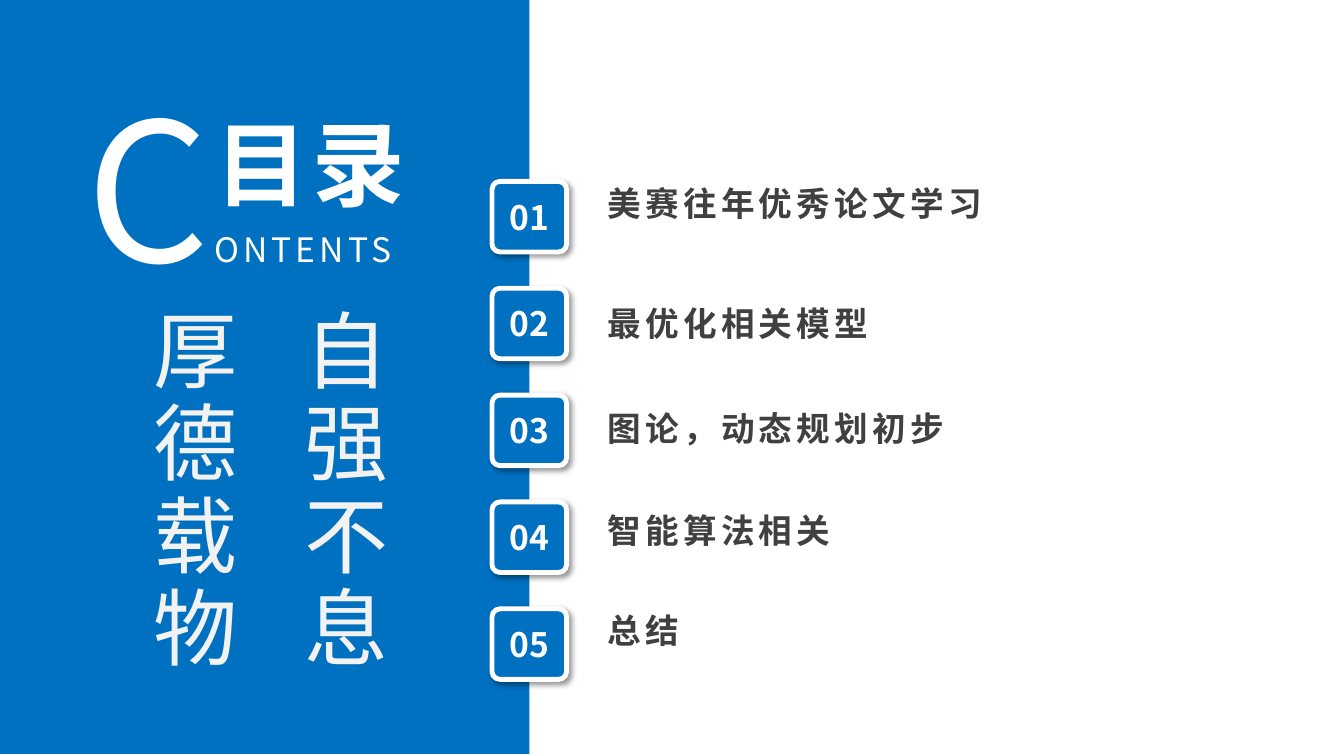
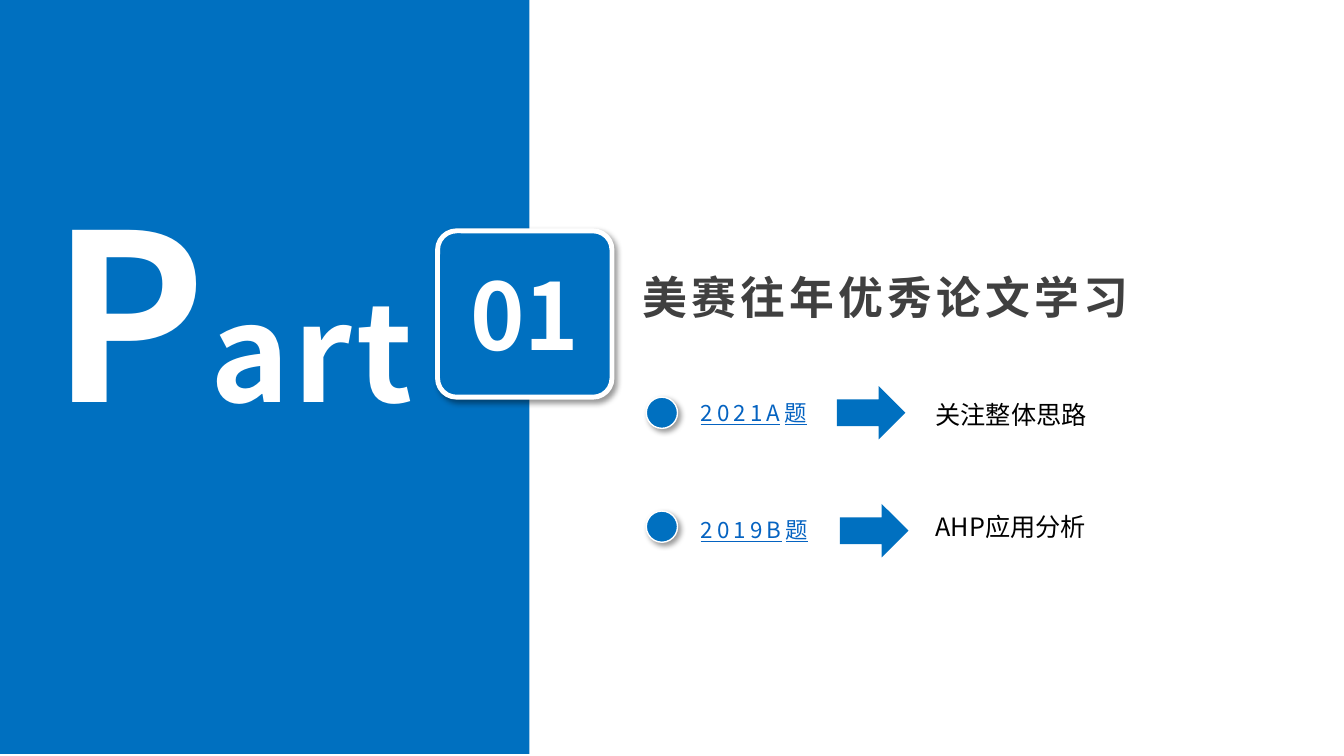
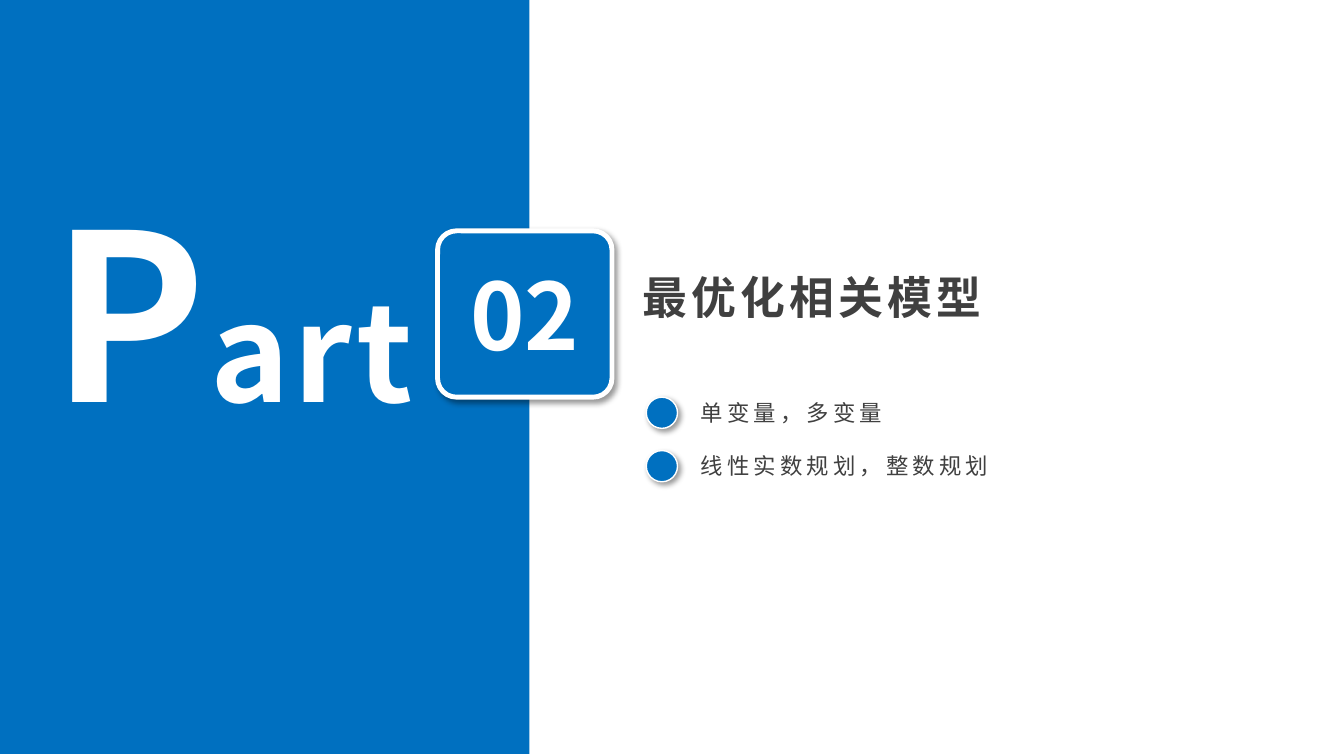
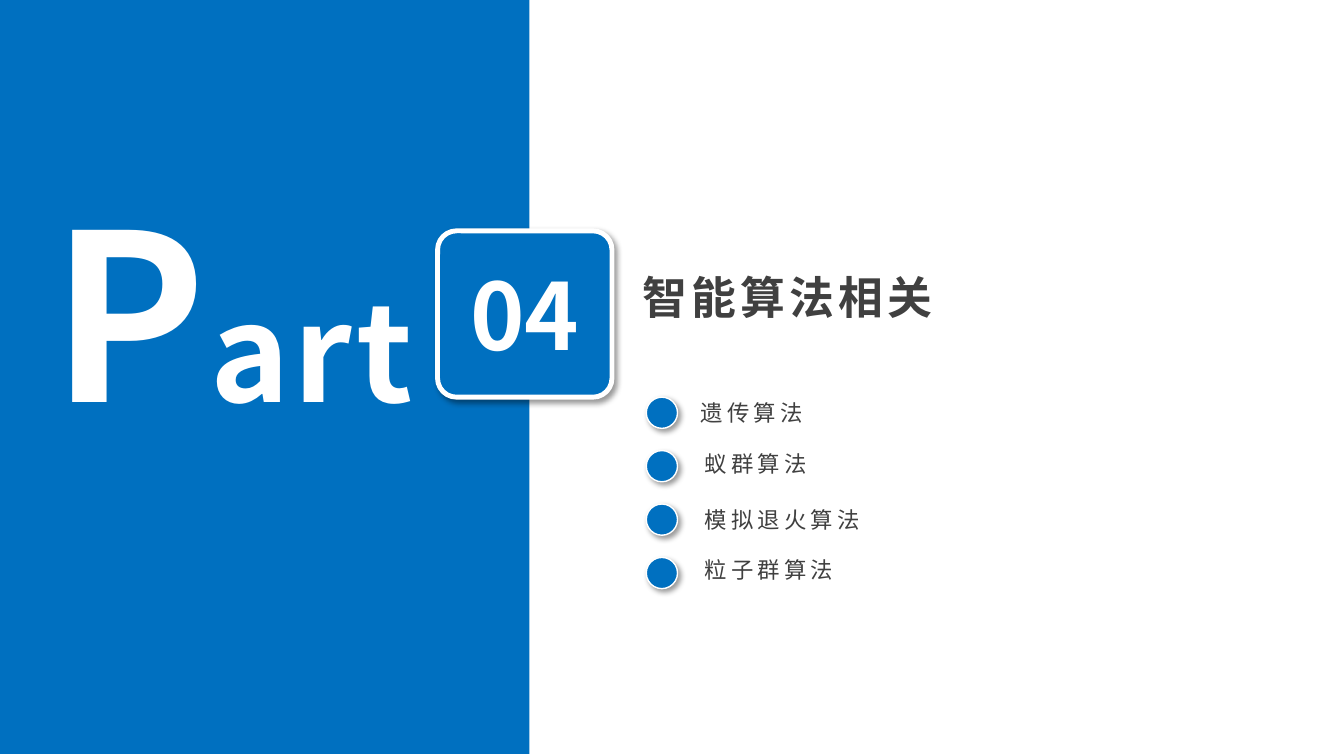
from lxml.etree import SubElement
from pptx import Presentation
from pptx.dml.color import RGBColor
from pptx.enum.shapes import MSO_SHAPE as Preset
from pptx.enum.text import MSO_ANCHOR as Anchor, MSO_AUTO_SIZE as AutoSize, PP_ALIGN as Align
from pptx.oxml.ns import qn
from pptx.util import Emu, Pt

# Shared style: 100 px to the inch
SCALE = 9144
FONT = "Noto Sans CJK SC"
COLORS = {
    "blue": "0070C0",
    "white": "FFFFFF",
    "pale": "F2F2F2",
    "dark": "404040",
    "black": "000000",
    "link": "0563C1",
}
BULLET_LEFT, BULLET_TOP, BULLET_SIZE = 641, 394, 31


def px(*lengths):
    return [Emu(length * SCALE) for length in lengths]


def rgb(name):
    return RGBColor.from_string(COLORS[name])


# Text
def add_span(para, text, size, color, bold=False, spacing=0, underline=False):
    span = para.add_run()
    span.text = text
    font = span.font
    font.size, font.name, font.bold = Pt(size), FONT, bold
    font.color.rgb = rgb(color)
    if underline:
        font.underline = True
    props = font._element
    if spacing:
        props.set("spc", str(spacing * 100))
    SubElement(props, qn("a:ea")).set("typeface", FONT)


def add_text(page, at, spans, align=Align.LEFT, **style):
    """Add one line of text; spans are (text, size) pairs in one style."""
    box = page.shapes.add_textbox(*px(*at))
    frame = box.text_frame
    frame.word_wrap = True
    frame.auto_size = AutoSize.SHAPE_TO_FIT_TEXT
    para = frame.paragraphs[0]
    para.alignment = align
    for text, size in spans:
        add_span(para, text, size, **style)


def add_vertical_text(page, at, columns, size, color, spacing):
    box = page.shapes.add_textbox(*px(*at))
    frame = box.text_frame
    frame.word_wrap = False
    frame.auto_size = AutoSize.SHAPE_TO_FIT_TEXT
    frame._txBody.bodyPr.set("vert", "eaVert")
    for index, column in enumerate(columns):
        para = frame.add_paragraph() if index else frame.paragraphs[0]
        para.alignment = Align.JUSTIFY
        para.line_spacing = 1.5
        add_span(para, column, size, color, spacing=spacing)


# Shapes
def add_blue_shape(page, preset, at, border=0):
    """Add a blue shape; one with a white border also casts a shadow."""
    shape = page.shapes.add_shape(preset, *px(*at))
    shape.shadow.inherit = False
    shape.fill.solid()
    shape.fill.fore_color.rgb = rgb("blue")
    if border:
        shape.line.color.rgb = rgb("white")
        shape.line.width = Pt(border)
        add_shadow(shape)
    else:
        shape.line.fill.background()
    return shape


def add_shadow(shape):
    effects = shape._element.spPr.find(qn("a:effectLst"))
    shadow = SubElement(effects, qn("a:outerShdw"), blurRad=str(Pt(4)), dist=str(Pt(3)),
                        dir="2700000", algn="tl", rotWithShape="0")
    color = SubElement(shadow, qn("a:srgbClr"), val=COLORS["black"])
    SubElement(color, qn("a:alpha"), val="40000")


def add_badge(page, at, number, size):
    badge = add_blue_shape(page, Preset.ROUNDED_RECTANGLE, at, border=3.5)
    badge.adjustments[0] = 0.114
    frame = badge.text_frame
    frame.margin_left = frame.margin_right = frame.margin_top = frame.margin_bottom = 0
    frame.word_wrap = False
    frame.vertical_anchor = Anchor.MIDDLE
    para = frame.paragraphs[0]
    para.alignment = Align.CENTER
    add_span(para, f"{number:02}", size, "white", bold=True)


def add_bullet(page, top):
    add_blue_shape(page, Preset.OVAL, (BULLET_LEFT, top, BULLET_SIZE, BULLET_SIZE), border=1)


# Pages
def add_page(deck):
    page = deck.slides.add_slide(deck.slide_layouts[6])
    add_blue_shape(page, Preset.RECTANGLE, (0, -2, 525, 750))
    return page


def add_contents_page(deck, entries):
    page = add_page(deck)
    add_text(page, (76, 64, 368, 242), [("C", 138), ("ONTENTS", 24)],
             Align.JUSTIFY, color="white", spacing=3)
    add_text(page, (204, 101, 244, 121), [("目录", 66)],
             Align.JUSTIFY, color="white", bold=True, spacing=3)
    for index, (entry, top) in enumerate(entries):
        add_badge(page, (488, 180 + 106 * index, 74, 70), index + 1, 24)
        add_text(page, (593, top, 525, 50), [(entry, 24)], color="dark", bold=True, spacing=3)
    add_vertical_text(page, (123, 296, 323, 411), ["自强不息", "厚德载物"], 60, "pale", 6)


def add_part_page(deck, number, title, topics, step=53, color="dark", underline=False):
    """Add a section page; topics are (text, left, top) and get evenly spaced bullets."""
    page = add_page(deck)
    add_text(page, (-83, 164, 627, 289), [("P", 166), ("art", 96)],
             Align.CENTER, color="white", bold=True, spacing=3)
    add_badge(page, (434, 229, 173, 165), number, 66)
    add_text(page, (627, 263, 580, 64), [(title, 32)], color="dark", bold=True, spacing=3)
    for index, (topic, left, top) in enumerate(topics):
        add_bullet(page, BULLET_TOP + step * index)
        add_text(page, (left, top, 434, 37), [(topic, 16)],
                 color=color, spacing=3, underline=underline)
    return page


def add_remark(page, arrow_left, arrow_top, text, top):
    add_blue_shape(page, Preset.RIGHT_ARROW, (arrow_left, arrow_top, 68, 53))
    add_text(page, (918, top, 211, 40), [(text, 18)], color="black")


def main():
    deck = Presentation()
    deck.slide_width, deck.slide_height = px(1333, 750)

    add_contents_page(deck, [
        ("美赛往年优秀论文学习", 177),
        ("最优化相关模型", 296),
        ("图论，动态规划初步", 400),
        ("智能算法相关", 501),
        ("总结", 600),
    ])

    papers = add_part_page(deck, 1, "美赛往年优秀论文学习", [
        ("2021A题", 685, 391),
        ("2019B题", 685, 507),
    ], step=113, color="link", underline=True)
    add_remark(papers, 830, 383, "关注整体思路", 391)
    add_remark(papers, 833, 500, "AHP应用分析", 502)

    add_part_page(deck, 2, "最优化相关模型", [
        ("单变量，多变量", 685, 391),
        ("线性实数规划，整数规划", 685, 444),
    ])

    add_part_page(deck, 4, "智能算法相关", [
        ("遗传算法", 685, 391),
        ("蚁群算法", 689, 442),
        ("模拟退火算法", 689, 497),
        ("粒子群算法", 689, 547),
    ])

    deck.save("out.pptx")


if __name__ == "__main__":
    main()
